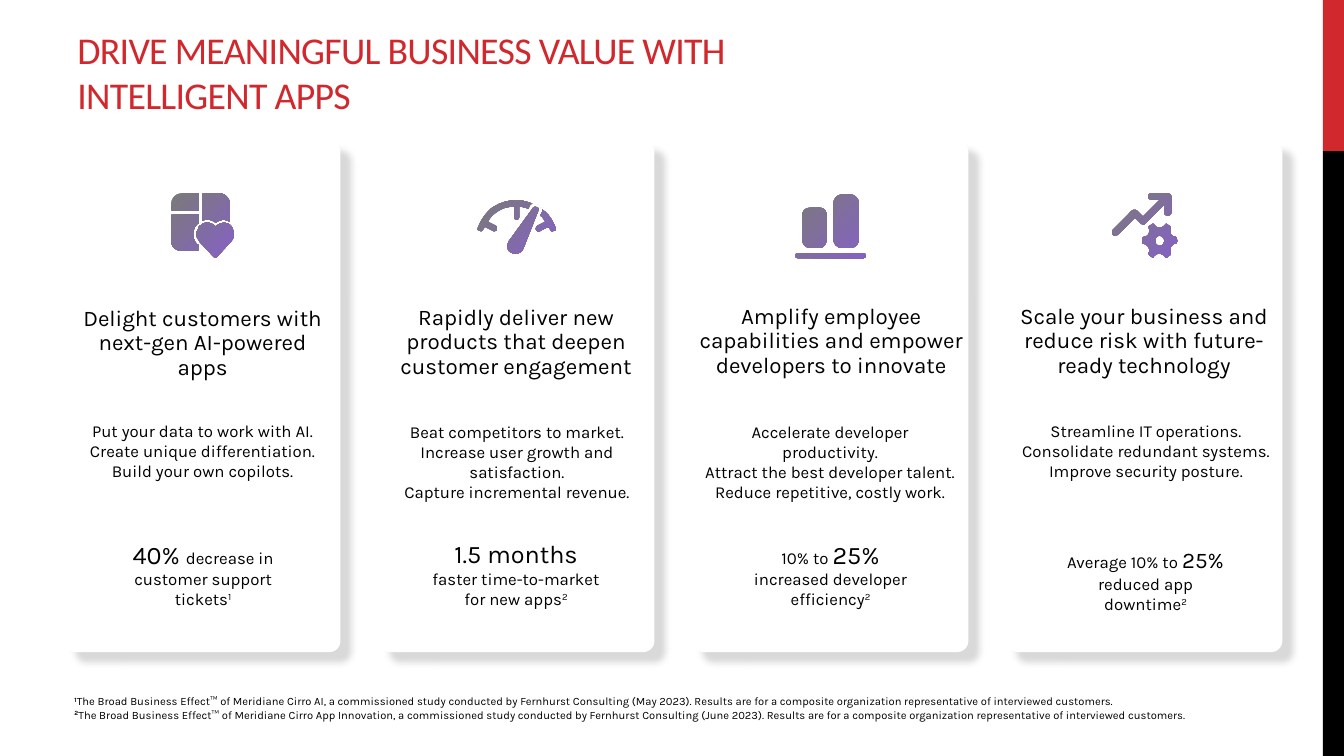
from dataclasses import dataclass

from lxml import etree
from pptx import Presentation
from pptx.dml.color import RGBColor
from pptx.enum import shapes, text
from pptx.oxml import ns
from pptx.util import Pt


@dataclass(frozen=True)
class Theme:
    red: RGBColor = RGBColor(0xD1, 0x28, 0x2E)
    black: RGBColor = RGBColor(0, 0, 0)
    white: RGBColor = RGBColor(0xFF, 0xFF, 0xFF)
    icon_start: RGBColor = RGBColor(0x7A, 0x7A, 0x7A)
    icon_end: RGBColor = RGBColor(0x86, 0x61, 0xC5)
    shadow: str = "454142"
    title_font: str = "Calibri"
    body_font: str = "Karla"
    title: float = 27
    figure: float = 18
    headline: float = 16
    body: float = 12
    footnote: float = 8


THEME = Theme()
CARD_LEFT, CARD_TOP, CARD_PITCH, CARD_WIDTH, CARD_HEIGHT = 46.6, 100.8, 224.25, 196.6, 365
ICON_UNIT = 0.72
CURVE_STEPS = 6
TIGHT = {f"margin_{side}": 0 for side in ("left", "top", "right", "bottom")}
MIDDLE = {"vertical_anchor": text.MSO_ANCHOR.MIDDLE}
CENTERED = {"alignment": text.PP_ALIGN.CENTER}
RAISED = {"baseline": "30000"}

# Outlines in icon units: M move, L line, C curve, Z close
APP_HEART = """
M 27 57 L 27 51 L 26 51 C 20 45 20 36 26 30 L 27 30 L 27 21 L 0 21 L 0 48 C 0 53 5 57 10 57 Z
M 58 10 L 58 28 C 53 25 48 26 44 29 C 40 26 35 25 31 27 L 31 0 L 48 0 C 53 0 57 4 58 9 Z
M 27 46 C 24 43 24 38 27 35 C 27 34 27 33 28 32 C 29 32 30 31 31 30 C 35 28 40 29 43 32 L 44 33
L 45 32 C 48 29 54 28 58 31 L 59 32 C 63 37 63 44 59 48 L 45 63 L 44 64 L 42 63 L 28 48 Z
M 27 17 L 27 0 L 10 0 C 5 0 0 4 0 10 L 0 17 Z"""
GAUGE = """
M 31 40 L 55 7 C 56 6 58 6 59 7 C 60 7 60 8 60 9 L 60 10 L 45 48 C 43 52 38 54 34 52
C 30 51 28 46 30 42 Z
M 64 9 C 67 11 70 14 72 17 C 74 20 76 24 77 27 C 78 28 77 30 75 30 C 74 31 72 30 72 29 L 70 26
L 62 30 C 61 31 59 31 58 29 C 57 28 58 26 59 25 L 67 21 L 66 19 C 65 18 64 16 62 15 L 64 11 Z
M 54 3 L 52 4 L 50 8 C 47 7 44 6 41 6 L 41 16 C 41 18 40 19 38 19 C 37 19 36 18 36 16 L 36 6
C 29 6 23 8 18 12 C 15 14 12 17 10 21 L 18 25 C 19 26 19 28 19 29 C 18 30 16 31 15 30 L 7 26
L 5 29 C 5 30 3 31 2 30 C 0 30 -1 28 0 27 C 3 19 8 12 14 7 C 26 -1 41 -3 54 3 Z"""
BARS = """
M 67 63 C 69 63 70 62 70 61 C 70 59 69 58 67 58 L 3 58 C 1 58 0 59 0 61 C 0 62 1 63 3 63 Z
M 63 45 C 63 49 59 53 55 53 L 46 53 C 42 53 38 49 38 45 L 38 8 C 38 4 42 0 46 0 L 55 0
C 59 0 63 4 63 8 Z
M 31 45 C 31 49 28 53 24 53 L 15 53 C 10 53 7 49 7 45 L 7 20 C 7 16 10 13 15 13 L 24 13
C 28 13 31 16 31 20 Z"""
ARROW_GEAR = """
M 55 0 C 57 0 59 1 59 3 L 59 19 C 59 21 57 22 55 22 C 54 22 52 21 52 19 L 52 11 L 33 30
C 32 31 30 31 29 30 L 23 24 L 6 41 C 4 42 2 42 1 41 C 0 40 0 38 1 36 L 20 17
C 21 16 24 16 25 17 L 31 23 L 48 6 L 39 6 C 37 6 36 5 36 3 C 36 1 37 0 39 0 Z
M 37 35 C 38 39 36 43 32 43 L 30 44 L 30 50 L 32 50 C 36 51 38 55 37 58 L 36 60 L 41 64 L 42 62
C 45 59 49 59 52 62 L 54 64 L 58 61 L 58 58 C 57 55 59 51 62 50 L 64 50 C 65 49 65 45 64 44
L 63 43 C 59 43 57 39 58 35 L 58 33 L 54 30 L 52 32 C 49 35 45 35 43 32 L 41 30 L 36 33 Z
M 47 52 C 45 52 43 50 43 47 C 43 44 45 42 47 42 C 50 42 52 44 52 47 C 52 50 50 52 47 52 Z"""

# Each card: icon and its place, then (place, lines) for headline and details,
# and (place, paragraphs of runs, frame format) for the measured result
CARDS = [
    (APP_HEART, (122.4, 138.2),
     ((54, 219.6, 181.4, 52.6), ["Delight customers with next-gen AI-powered apps"]),
     ((54, 300.2, 181.4, 43.9), ["Put your data to work with AI.", "Create unique differentiation.",
                                 "Build your own copilots."]),
     ((82.8, 384.5, 124.6, 51.1), [[("40% ", THEME.figure),
      ("decrease in customer support tickets", THEME.body), ("1", THEME.body, RAISED)]],
      {**TIGHT, **MIDDLE})),
    (GAUGE, (341.3, 143.3),
     ((277.9, 218.9, 181.4, 52.6), ["Rapidly deliver new products that deepen customer engagement"]),
     ((275, 301, 188.6, 58.3), ["Beat competitors to market.",
                                "Increase user growth and satisfaction.",
                                "Capture incremental revenue."]),
     ((295.9, 380.9, 145.4, 58.3), [[("1.5 months", THEME.figure)],
      [("faster time-to-market for new apps", THEME.body), ("2", THEME.body, RAISED)]], {})),
    (BARS, (568.1, 139),
     ((499, 218.2, 189.4, 52.6),
      ["Amplify employee capabilities and empower developers to innovate"]),
     ((503.3, 301, 179.3, 58.3), ["Accelerate developer productivity.",
                                  "Attract the best developer talent.",
                                  "Reduce repetitive, costly work."]),
     ((528.5, 384.5, 129.6, 51.1), [[("10% to ", THEME.body), ("25%", THEME.figure)],
      [("increased developer efficiency", THEME.body), ("2", THEME.body, RAISED)]],
      {**TIGHT, **MIDDLE})),
    (ARROW_GEAR, (794.2, 138.2),
     ((728.6, 218.2, 177.1, 52.6),
      ["Scale your business and reduce risk with future-ready technology"]),
     ((727.9, 300.2, 181.4, 43.9), ["Streamline IT operations.", "Consolidate redundant systems.",
                                    "Improve security posture."]),
     ((747.4, 384.5, 141.8, 43.9), [[("Average 10% to ", THEME.body), ("25%", THEME.headline),
      (" ", THEME.figure), ("reduced app downtime", THEME.body), ("2", THEME.body, RAISED)]], {})),
]

FOOTNOTES = [
    ("1", "The Broad Business Effect™ of Meridiane Cirro AI, a commissioned study conducted by "
          "Fernhurst Consulting (May 2023). Results are for a composite organization "
          "representative of interviewed customers."),
    ("2", "The Broad Business Effect™ of Meridiane Cirro App Innovation, a commissioned study "
          "conducted by Fernhurst Consulting (June 2023). Results are for a composite "
          "organization representative of interviewed customers."),
]


def apply_format(target, values):
    for name, value in values.items():
        setattr(target, name, value)


def add_block(slide, kind, place, color):
    shape = slide.shapes.add_shape(kind, *map(Pt, place))
    shape.shadow.inherit = False
    shape.fill.solid()
    shape.fill.fore_color.rgb = color
    shape.line.fill.background()
    return shape


def add_card(slide, left):
    kind = shapes.MSO_SHAPE.ROUNDED_RECTANGLE
    card = add_block(slide, kind, (left, CARD_TOP, CARD_WIDTH, CARD_HEIGHT), THEME.white)
    card.adjustments[0] = 0.04
    effects = card.element.spPr.find(ns.qn("a:effectLst"))
    shadow = etree.SubElement(effects, ns.qn("a:outerShdw"), blurRad=str(Pt(5)), dist=str(Pt(10)),
                              dir="2700000", algn="tl", rotWithShape="0")
    color = etree.SubElement(shadow, ns.qn("a:srgbClr"), val=THEME.shadow)
    etree.SubElement(color, ns.qn("a:alpha"), val="20000")


def add_text(slide, place, paragraphs, frame_format=None, paragraph_format=None,
             color=THEME.black, font=THEME.body_font):
    """Each run is (text, size) and, if needed, a dict of run attributes."""
    frame = slide.shapes.add_textbox(*map(Pt, place)).text_frame
    apply_format(frame, {"word_wrap": True, "auto_size": text.MSO_AUTO_SIZE.SHAPE_TO_FIT_TEXT,
                         **(frame_format or {})})
    for index, runs in enumerate(paragraphs):
        paragraph = frame.add_paragraph() if index else frame.paragraphs[0]
        apply_format(paragraph, paragraph_format or {})
        for words, size, *attributes in runs:
            run = paragraph.add_run()
            run.text = words
            apply_format(run.font, {"size": Pt(size), "name": font})
            run.font.color.rgb = color
            for name, value in (attributes[0] if attributes else {}).items():
                run.font._element.set(name, value)


def flatten(outline):
    """Turn each contour of an outline into a list of points."""
    for contour in outline.split("Z")[:-1]:
        points = []
        for step in contour.replace("L", "|L").replace("C", "|C").split("|"):
            numbers = [float(number) for number in step.split()[1:]]
            pairs = list(zip(numbers[::2], numbers[1::2]))
            if len(pairs) == 1:
                points += pairs
                continue
            corners = [points[-1], *pairs]
            for count in range(1, CURVE_STEPS + 1):
                t = count / CURVE_STEPS
                weights = ((1 - t) ** 3, 3 * t * (1 - t) ** 2, 3 * t * t * (1 - t), t ** 3)
                points.append(tuple(sum(w * v for w, v in zip(weights, axis))
                                    for axis in zip(*corners)))
        yield [(Pt(x * ICON_UNIT), Pt(y * ICON_UNIT)) for x, y in points]


def add_icon(slide, outline, place):
    first, *others = flatten(outline)
    builder = slide.shapes.build_freeform(*first[0])
    builder.add_line_segments(first[1:], close=True)
    for points in others:
        builder.move_to(*points[0])
        builder.add_line_segments(points[1:], close=True)
    icon = builder.convert_to_shape(*map(Pt, place))
    icon.shadow.inherit = False
    icon.line.fill.background()
    icon.fill.gradient()
    icon.fill.gradient_angle = 315
    for stop, color in zip(icon.fill.gradient_stops, (THEME.icon_start, THEME.icon_end)):
        stop.color.rgb = color


def main():
    presentation = Presentation()
    apply_format(presentation, {"slide_width": Pt(960), "slide_height": Pt(540)})
    slide = presentation.slides.add_slide(presentation.slide_layouts[6])

    for top, height, color in ((0, 108, THEME.red), (108, 432, THEME.black)):
        add_block(slide, shapes.MSO_SHAPE.RECTANGLE, (944.9, top, 15.1, height), color)
    add_text(slide, (48.2, 12.2, 607.7, 75),
             [[("DRIVE MEANINGFUL BUSINESS VALUE WITH INTELLIGENT APPS", THEME.title,
                {"spc": "-50"})]],
             {"vertical_anchor": text.MSO_ANCHOR.BOTTOM, "auto_size": text.MSO_AUTO_SIZE.NONE},
             color=THEME.red, font=THEME.title_font)

    for column, (outline, icon_place, headline, details, result) in enumerate(CARDS):
        add_card(slide, CARD_LEFT + column * CARD_PITCH)
        add_icon(slide, outline, icon_place)
        for (place, lines), size, spacing in ((headline, THEME.headline, 0.9),
                                              (details, THEME.body, 1.0)):
            add_text(slide, place, [[(line, size)] for line in lines], TIGHT,
                     {**CENTERED, "line_spacing": spacing})
        add_text(slide, *result, CENTERED)

    add_text(slide, (46.1, 492.5, 867.6, 26.6),
             [[(mark, THEME.footnote, {"b": "1", **RAISED}), (note, THEME.footnote)]
              for mark, note in FOOTNOTES])
    presentation.save("out.pptx")


if __name__ == "__main__":
    main()
